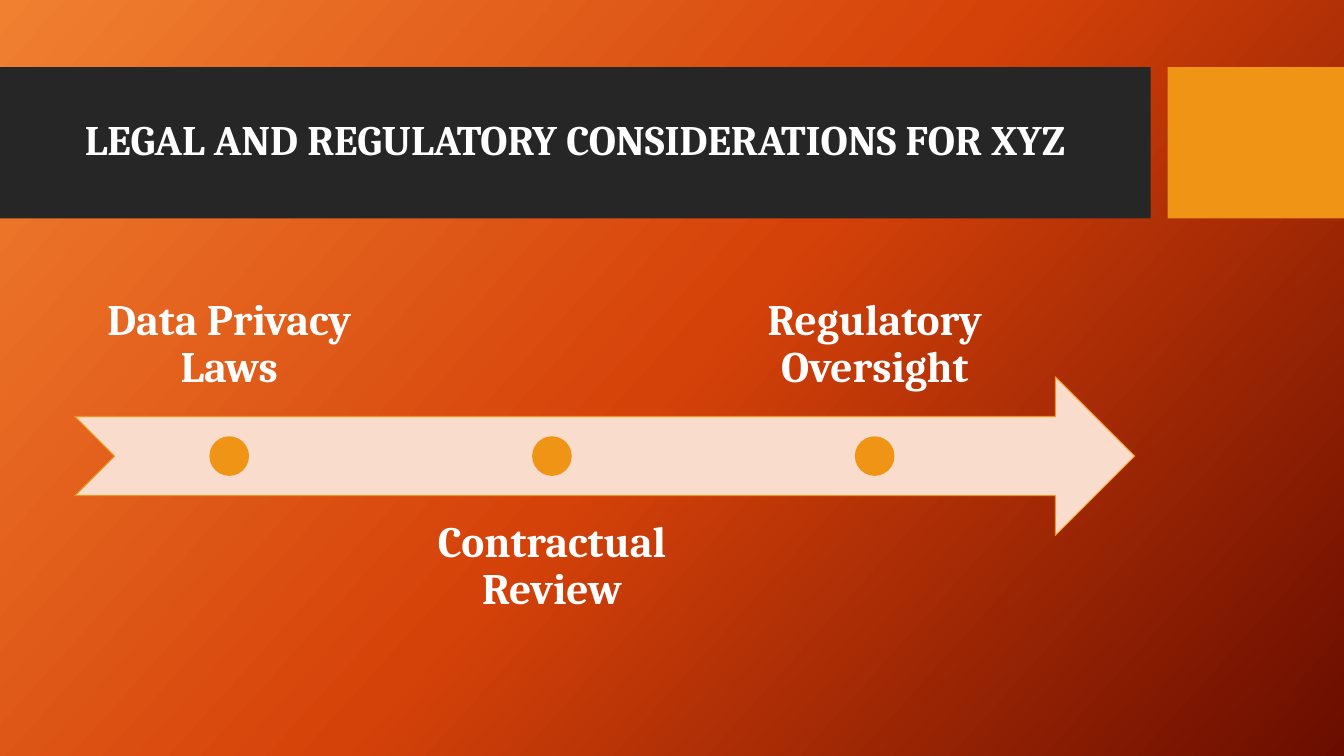
import copy

import pptx
import pptx.dml.color
import pptx.enum.shapes
import pptx.enum.text
import pptx.oxml.ns
import pptx.util

Pt = pptx.util.Pt
RGBColor = pptx.dml.color.RGBColor
MSO_SHAPE = pptx.enum.shapes.MSO_SHAPE
PP_ALIGN = pptx.enum.text.PP_ALIGN
MSO_ANCHOR = pptx.enum.text.MSO_ANCHOR

CHARCOAL = RGBColor(0x26, 0x26, 0x26)
AMBER = RGBColor(0xF0, 0x94, 0x15)
PEACH = RGBColor(0xF9, 0xDC, 0xCC)
WHITE = RGBColor(0xFF, 0xFF, 0xFF)
BACKDROP = [
    (0, RGBColor(0xF1, 0x80, 0x31)),
    (0.5, RGBColor(0xD5, 0x42, 0x09)),
    (1, RGBColor(0x6A, 0x0D, 0x00)),
]

SLIDE_WIDTH, SLIDE_HEIGHT = 960, 540
FONT = "Cambria"
TITLE = "LEGAL AND REGULATORY CONSIDERATIONS FOR XYZ"
CONSIDERATIONS = ["Data Privacy Laws", "Contractual Review", "Regulatory Oversight"]


def add_block(slide, preset, left, top, width, height, fill, outline=None):
    block = slide.shapes.add_shape(preset, Pt(left), Pt(top), Pt(width), Pt(height))
    block.shadow.inherit = False
    block.fill.solid()
    block.fill.fore_color.rgb = fill
    if outline is None:
        block.line.fill.background()
    else:
        block.line.color.rgb = outline
        block.line.width = Pt(0.75)


def add_text(slide, text, left, top, width, height, size, align, anchor, inset):
    box = slide.shapes.add_textbox(Pt(left), Pt(top), Pt(width), Pt(height))
    frame = box.text_frame
    frame.word_wrap = True
    frame.vertical_anchor = anchor
    frame.margin_left = frame.margin_right = Pt(inset[0])
    frame.margin_top = frame.margin_bottom = Pt(inset[1])
    frame.text = text
    paragraph = frame.paragraphs[0]
    paragraph.alignment = align
    paragraph.line_spacing = 0.9
    font = paragraph.runs[0].font
    font.name, font.size, font.bold = FONT, Pt(size), True
    font.color.rgb = WHITE


def paint_background(slide):
    fill = slide.background.fill
    fill.gradient()
    # The default gradient has two stops; a third is needed
    stop_list = next(slide.element.iter(pptx.oxml.ns.qn("a:gsLst")))
    stop_list.append(copy.deepcopy(stop_list[-1]))
    for stop, (position, color) in zip(fill.gradient_stops, BACKDROP):
        stop.position = position
        stop.color.rgb = color
    fill.gradient_angle = 360 - 42  # counted counter-clockwise


def add_title_band(slide, left, top, width, height):
    # Dark band and amber tab, with a narrow gap between them
    tab_width, gap = 126, 12
    band_width = width - tab_width - gap
    add_block(slide, MSO_SHAPE.RECTANGLE, left, top, band_width, height, CHARCOAL)
    add_block(slide, MSO_SHAPE.RECTANGLE, left + width - tab_width, top,
              tab_width, height, AMBER)
    # Title
    add_text(slide, TITLE, left + 53.5, top + 10.5, band_width - 65, height - 23,
             30, PP_ALIGN.LEFT, MSO_ANCHOR.MIDDLE, (7.2, 3.6))


def add_timeline(slide, left, top, width, height):
    # Arrow through the middle of the region
    row_height = 0.4 * height
    add_block(slide, MSO_SHAPE.NOTCHED_RIGHT_ARROW, left, top + 0.3 * height,
              width, row_height, PEACH, AMBER)
    # Labels alternate above and below the arrow, each with a dot on it
    label_width = 0.29 * width
    pitch = 1.05 * label_width
    dot = 0.1 * height
    for index, label in enumerate(CONSIDERATIONS):
        label_left = left + 0.5 + index * pitch
        above = index % 2 == 0
        label_top = top if above else top + height - row_height
        anchor = MSO_ANCHOR.BOTTOM if above else MSO_ANCHOR.TOP
        add_text(slide, label, label_left, label_top, label_width, row_height,
                 31, PP_ALIGN.CENTER, anchor, (17.4, 17.4))
        add_block(slide, MSO_SHAPE.OVAL, label_left + (label_width - dot) / 2,
                  top + (height - dot) / 2, dot, dot, AMBER)


def main():
    deck = pptx.Presentation()
    deck.slide_width, deck.slide_height = Pt(SLIDE_WIDTH), Pt(SLIDE_HEIGHT)
    slide = deck.slides.add_slide(deck.slide_layouts[6])
    paint_background(slide)
    add_title_band(slide, 0, 48, SLIDE_WIDTH, 108)
    add_timeline(slide, 53.5, 184.3, 757, 283)
    deck.save("out.pptx")


if __name__ == "__main__":
    main()
